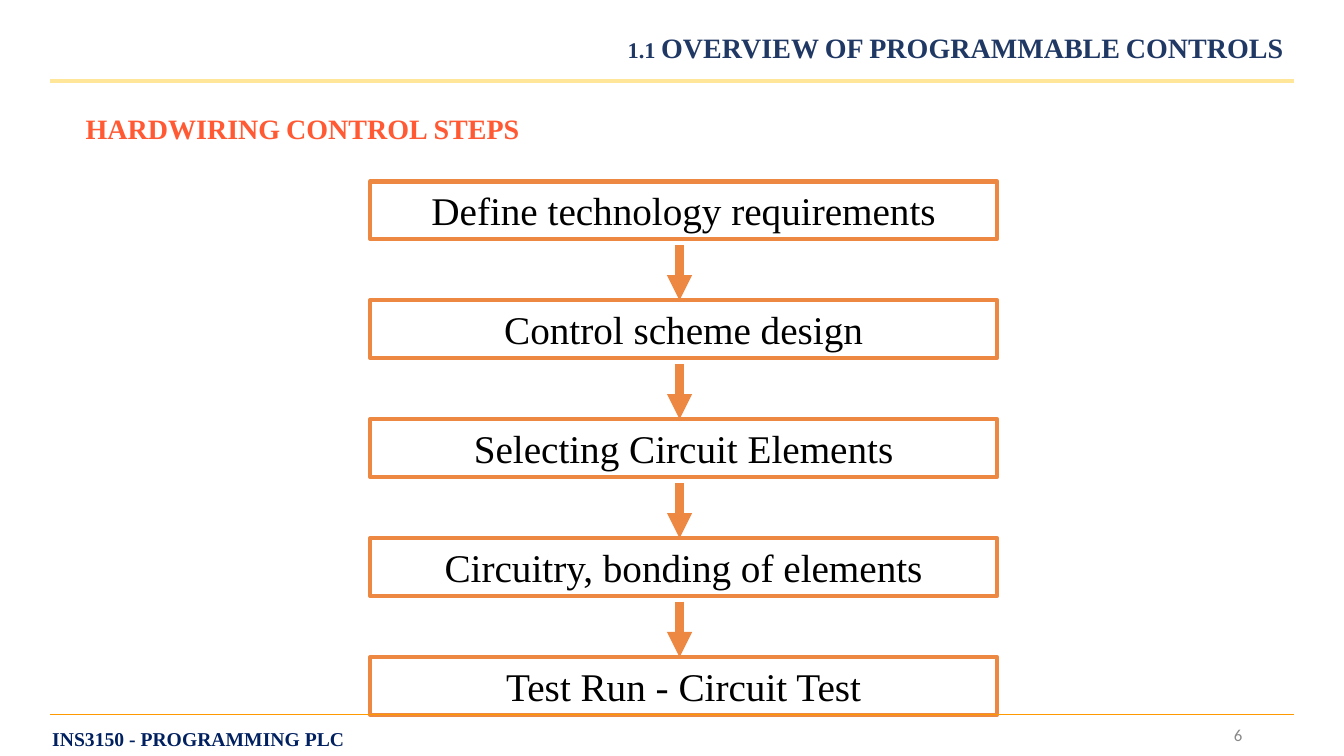
from lxml import etree
from pptx import Presentation
from pptx.dml.color import RGBColor
from pptx.enum.shapes import MSO_CONNECTOR as Connector, MSO_SHAPE as Shape
from pptx.enum.text import MSO_ANCHOR as Anchor, MSO_AUTO_SIZE as AutoSize, PP_ALIGN as Align
from pptx.oxml.ns import qn
from pptx.util import Inches, Pt

COLORS = {
    "heading": "203864",
    "subheading": "FF5A33",
    "step": "ED8843",
    "text": "000000",
    "header_rule": "FFE699",
    "footer_rule": "FF9900",
    "footer": "002060",
    "number": "898989",
}

STEPS = [
    "Define technology requirements",
    "Control scheme design",
    "Selecting Circuit Elements",
    "Circuitry, bonding of elements",
    "Test Run - Circuit Test",
]
STEP_LEFT, STEP_TOP, STEP_WIDTH, STEP_HEIGHT = 3.67, 1.8, 6.22, 0.57
STEP_PITCH = 1.18
ARROW_X, ARROW_GAP = 6.74, 0.06


class SlideBuilder:
    font_name = "Times New Roman"

    def __init__(self, presentation):
        self.slide = presentation.slides.add_slide(presentation.slide_layouts[5])

    def color(self, name):
        return RGBColor.from_string(COLORS[name])

    def fill_text(self, shape, text, size, color, align, bold=False, small_caps=False,
                  anchor=Anchor.MIDDLE, font_name=None):
        frame = shape.text_frame
        frame.text = text
        frame.word_wrap = True
        frame.auto_size = AutoSize.NONE
        frame.vertical_anchor = anchor
        paragraph = frame.paragraphs[0]
        paragraph.alignment = align
        paragraph.space_before = Pt(0)
        run = paragraph.runs[0]
        run.font.name = font_name or self.font_name
        run.font.size = Pt(size)
        run.font.bold = bold
        run.font.color.rgb = self.color(color)
        if small_caps:
            run._r.get_or_add_rPr().set("cap", "small")

    def title(self, text, left, top, width, height):
        shape = self.slide.shapes.title
        shape.left, shape.top = Inches(left), Inches(top)
        shape.width, shape.height = Inches(width), Inches(height)
        self.fill_text(shape, text, 20, "heading", Align.RIGHT, bold=True, small_caps=True)

    def text(self, text, left, top, width, height, size, color, align, **style):
        shape = self.slide.shapes.add_textbox(
            Inches(left), Inches(top), Inches(width), Inches(height))
        self.fill_text(shape, text, size, color, align, **style)

    def step(self, text, top):
        shape = self.slide.shapes.add_shape(
            Shape.RECTANGLE, Inches(STEP_LEFT), Inches(top),
            Inches(STEP_WIDTH), Inches(STEP_HEIGHT))
        shape.shadow.inherit = False
        shape.fill.background()
        shape.line.color.rgb = self.color("step")
        shape.line.width = Pt(3)
        self.fill_text(shape, text, 28, "text", Align.CENTER)

    def line(self, start, end, color, width, arrow=False):
        connector = self.slide.shapes.add_connector(
            Connector.STRAIGHT, *(Inches(value) for value in start + end))
        connector.line.color.rgb = self.color(color)
        connector.line.width = Pt(width)
        if arrow:
            etree.SubElement(connector.line._get_or_add_ln(), qn("a:tailEnd"), type="triangle")
        etree.SubElement(connector._element.spPr, qn("a:effectLst"))


def main():
    presentation = Presentation()
    presentation.slide_width = Inches(13.33)
    presentation.slide_height = Inches(7.5)
    builder = SlideBuilder(presentation)

    builder.title("1.1 OVERVIEW OF PROGRAMMABLE CONTROLS", 5.73, 0.2, 7.1, 0.53)
    builder.line((0.5, 0.8), (12.83, 0.8), "header_rule", 3)
    builder.text("HARDWIRING CONTROL STEPS", 0.02, 1.01, 5.23, 0.53, 20,
                 "subheading", Align.RIGHT, bold=True, small_caps=True)

    for index, step in enumerate(STEPS):
        top = STEP_TOP + index * STEP_PITCH
        builder.step(step, top)
        if index < len(STEPS) - 1:
            builder.line((ARROW_X, top + STEP_HEIGHT + ARROW_GAP),
                         (ARROW_X, top + STEP_PITCH), "step", 6, arrow=True)

    builder.line((0.5, 7.09), (12.83, 7.09), "footer_rule", 0.75)
    builder.text("6", 9.42, 7.09, 3, 0.4, 12, "number", Align.RIGHT, font_name="Calibri")
    builder.text("INS3150 - PROGRAMMING PLC", 0.42, 7.16, 6.67, 0.34, 14,
                 "footer", Align.LEFT, bold=True, anchor=Anchor.TOP)

    presentation.save("out.pptx")


if __name__ == "__main__":
    main()
